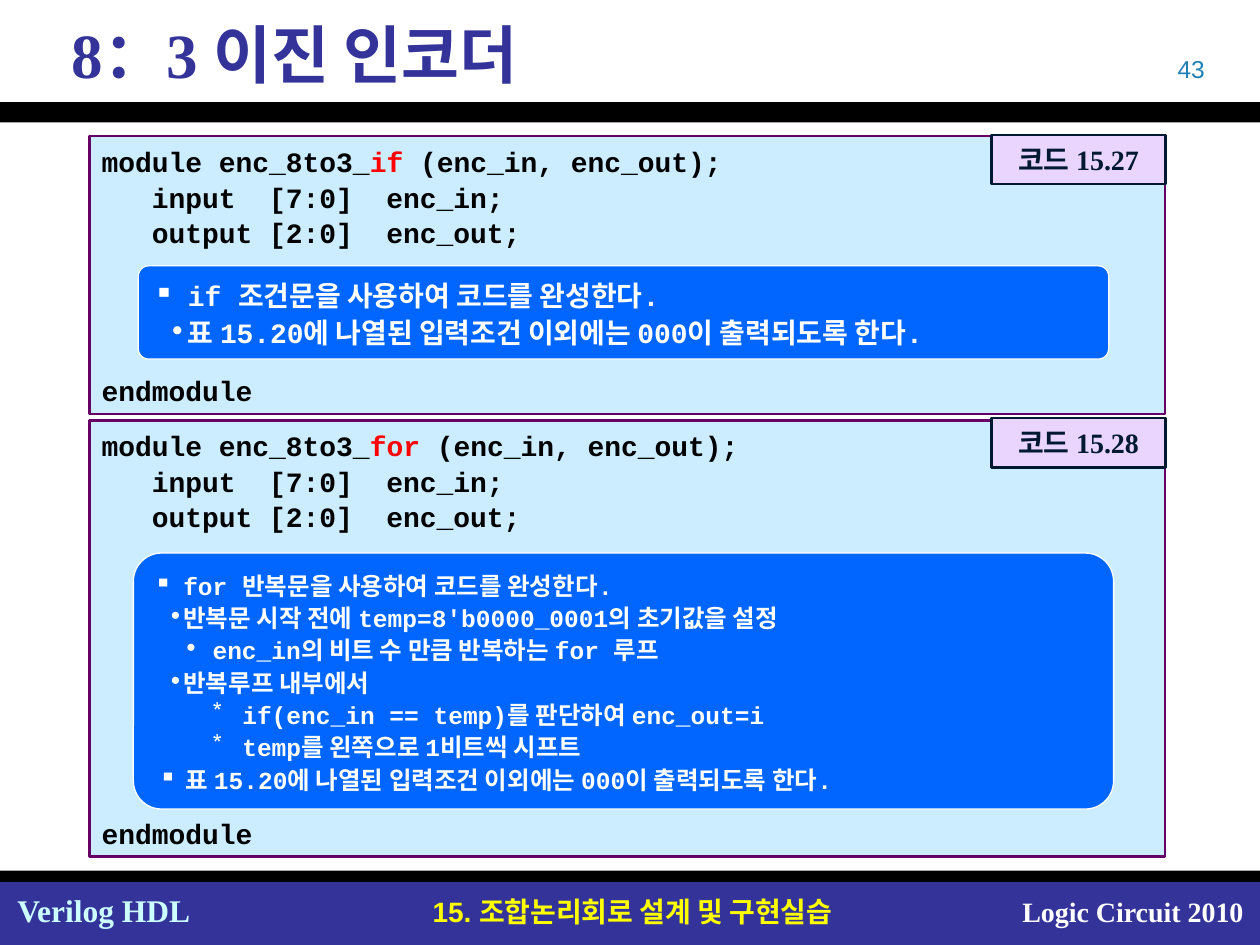
"""Build the slide on 8-to-3 binary encoders with two framed Verilog listings."""
from dataclasses import dataclass

import lxml.etree
import pptx
import pptx.dml.color
import pptx.enum.shapes
import pptx.enum.text
import pptx.oxml.ns
import pptx.util

Cm = pptx.util.Cm
Pt = pptx.util.Pt
RGBColor = pptx.dml.color.RGBColor
Align = pptx.enum.text.PP_ALIGN
Anchor = pptx.enum.text.MSO_ANCHOR
Shape = pptx.enum.shapes.MSO_SHAPE

INDIGO = RGBColor(0x33, 0x33, 0x99)
BLACK = RGBColor(0, 0, 0)
WHITE = RGBColor(0xFF, 0xFF, 0xFF)
YELLOW = RGBColor(0xFF, 0xFF, 0)
RED = RGBColor(0xFF, 0, 0)
PALE_CYAN = RGBColor(0xCC, 0xFF, 0xFF)
TEAL = RGBColor(0x21, 0x81, 0xB7)
PANEL_BLUE = RGBColor(0xCC, 0xEC, 0xFF)
PURPLE = RGBColor(0x66, 0, 0x66)
NOTE_BLUE = RGBColor(0, 0x66, 0xFF)
LILAC = RGBColor(0xEA, 0xD5, 0xFF)
NAVY = RGBColor(0, 0x19, 0x32)

SERIF, SANS, MONO = "Times New Roman", "Arial", "Courier New"


@dataclass(frozen=True)
class Area:
    left: float
    top: float
    width: float
    height: float

    def lengths(self) -> tuple:
        return Cm(self.left), Cm(self.top), Cm(self.width), Cm(self.height)


@dataclass(frozen=True)
class Style:
    font: str
    size: float
    color: RGBColor
    bold: bool = True


@dataclass(frozen=True)
class Item:
    mark: str
    mark_at: float
    text_at: float
    text: str


@dataclass(frozen=True)
class Listing:
    panel: Area
    keyword: str
    gap: float
    note: Area
    note_size: float
    items: tuple
    label: Area
    label_text: str


LISTINGS = (
    Listing(
        Area(1.8, 2.74, 21.69, 5.61), "if", 70,
        Area(2.79, 5.36, 19.56, 1.88), 16,
        (
            Item("▪", 0, 0.69, "if 조건문을 사용하여 코드를 완성한다."),
            Item("∙", 0.3, 0.69, "표 15.20에 나열된 입력조건 이외에는 000이 출력되도록 한다."),
        ),
        Area(19.99, 2.72, 3.51, 0.99), "코드 15.27",
    ),
    Listing(
        Area(1.8, 8.48, 21.69, 8.79), "for", 161,
        Area(2.69, 11.15, 19.76, 5.16), 14,
        (
            Item("▪", 0, 0.59, "for 반복문을 사용하여 코드를 완성한다."),
            Item("∙", 0.28, 0.59, "반복문 시작 전에 temp=8'b0000_0001의 초기값을 설정"),
            Item("∙", 0.59, 1.18, "enc_in의 비트 수 만큼 반복하는 for 루프"),
            Item("∙", 0.28, 0.59, "반복루프 내부에서"),
            Item("*", 1.18, 1.78, "if(enc_in == temp)를 판단하여 enc_out=i"),
            Item("*", 1.18, 1.78, "temp를 왼쪽으로 1비트씩 시프트"),
            Item("▪", 0.1, 0.64, "표 15.20에 나열된 입력조건 이외에는 000이 출력되도록 한다."),
        ),
        Area(19.99, 8.43, 3.51, 0.99), "코드 15.28",
    ),
)


def format_paragraph(para, style: Style, align=Align.LEFT) -> None:
    para.alignment = align
    para.font.name = style.font
    para.font.size = Pt(style.size)
    para.font.bold = style.bold
    para.font.color.rgb = style.color


def add_block(page, area: Area, fill: RGBColor, line=None, weight: float = 1.5, kind=Shape.RECTANGLE):
    box = page.shapes.add_shape(kind, *area.lengths())
    box.shadow.inherit = False
    box.fill.solid()
    box.fill.fore_color.rgb = fill
    if line is None:
        box.line.fill.background()
    else:
        box.line.color.rgb = line
        box.line.width = Pt(weight)
    box.text_frame.word_wrap = True
    box.text_frame.vertical_anchor = Anchor.MIDDLE
    return box


def add_text(page, area: Area, text: str, style: Style, align=Align.LEFT) -> None:
    box = page.shapes.add_textbox(*area.lengths())
    box.text_frame.word_wrap = True
    para = box.text_frame.paragraphs[0]
    para.text = text
    format_paragraph(para, style, align)


def next_paragraph(frame, index: int):
    return frame.add_paragraph() if index else frame.paragraphs[0]


def add_code(page, listing: Listing) -> None:
    frame = add_block(page, listing.panel, PANEL_BLUE, PURPLE).text_frame
    lines = (
        ("module enc_8to3_", listing.keyword, " (enc_in, enc_out);"),
        ("   input  [7:0]  enc_in;",),
        ("   output [2:0]  enc_out;",),
        ("endmodule",),
    )
    for index, pieces in enumerate(lines):
        para = next_paragraph(frame, index)
        para.line_spacing = 1.05
        format_paragraph(para, Style(MONO, 16, BLACK))
        for piece in pieces:
            span = para.add_run()
            span.text = piece
            if piece == listing.keyword:
                span.font.color.rgb = RED
    para.space_before = Pt(listing.gap)


def add_note(page, listing: Listing) -> None:
    box = add_block(page, listing.note, NOTE_BLUE, WHITE, 0.75, Shape.ROUNDED_RECTANGLE)
    box.adjustments[0] = 0.11
    for index, item in enumerate(listing.items):
        para = next_paragraph(box.text_frame, index)
        para.text = item.text
        para.line_spacing = 1.1
        properties = para._p.get_or_add_pPr()
        properties.set("marL", str(Cm(item.text_at)))
        properties.set("indent", str(Cm(item.mark_at) - Cm(item.text_at)))
        bullet = lxml.etree.SubElement(properties, pptx.oxml.ns.qn("a:buChar"))
        bullet.set("char", item.mark)
        format_paragraph(para, Style(MONO, listing.note_size, WHITE))


def add_label(page, listing: Listing) -> None:
    frame = add_block(page, listing.label, LILAC, NAVY).text_frame
    frame.word_wrap = False
    para = frame.paragraphs[0]
    para.text = listing.label_text
    format_paragraph(para, Style(SERIF, 16, NAVY), Align.CENTER)


def set_title(page, text: str) -> None:
    title = page.shapes.title
    title.left, title.top, title.width, title.height = Area(0.43, 0.25, 24.56, 1.65).lengths()
    frame = title.text_frame
    frame.auto_size = pptx.enum.text.MSO_AUTO_SIZE.NONE
    frame.vertical_anchor = Anchor.MIDDLE
    frame.margin_left = Cm(1.02)
    para = frame.paragraphs[0]
    para.text = text
    format_paragraph(para, Style(SERIF, 36, INDIGO))


def add_frame(page) -> None:
    add_block(page, Area(0, 17.78, 25.4, 1.27), INDIGO)
    add_block(page, Area(0, 2.06, 25.4, 0.41), BLACK)
    add_block(page, Area(0, 17.55, 25.4, 0.23), BLACK)
    add_text(page, Area(0.1, 17.83, 4.5, 1.02), "Verilog HDL", Style(SERIF, 18, PALE_CYAN))
    add_text(page, Area(7.3, 17.91, 10.9, 0.94), "15. 조합논리회로 설계 및 구현실습",
             Style(SANS, 16, YELLOW), Align.CENTER)
    add_text(page, Area(19.5, 17.91, 5.82, 0.94), "Logic Circuit 2010",
             Style(SERIF, 16, WHITE), Align.RIGHT)
    add_text(page, Area(18.62, 0.97, 5.92, 0.84), "43", Style(SANS, 14, TEAL, False), Align.RIGHT)


def main() -> None:
    deck = pptx.Presentation()
    deck.slide_width, deck.slide_height = Cm(25.4), Cm(19.05)
    page = deck.slides.add_slide(deck.slide_layouts[5])
    add_frame(page)
    set_title(page, "8：3 이진 인코더")
    for listing in LISTINGS:
        add_code(page, listing)
        add_note(page, listing)
        add_label(page, listing)
    deck.save("out.pptx")


if __name__ == "__main__":
    main()
